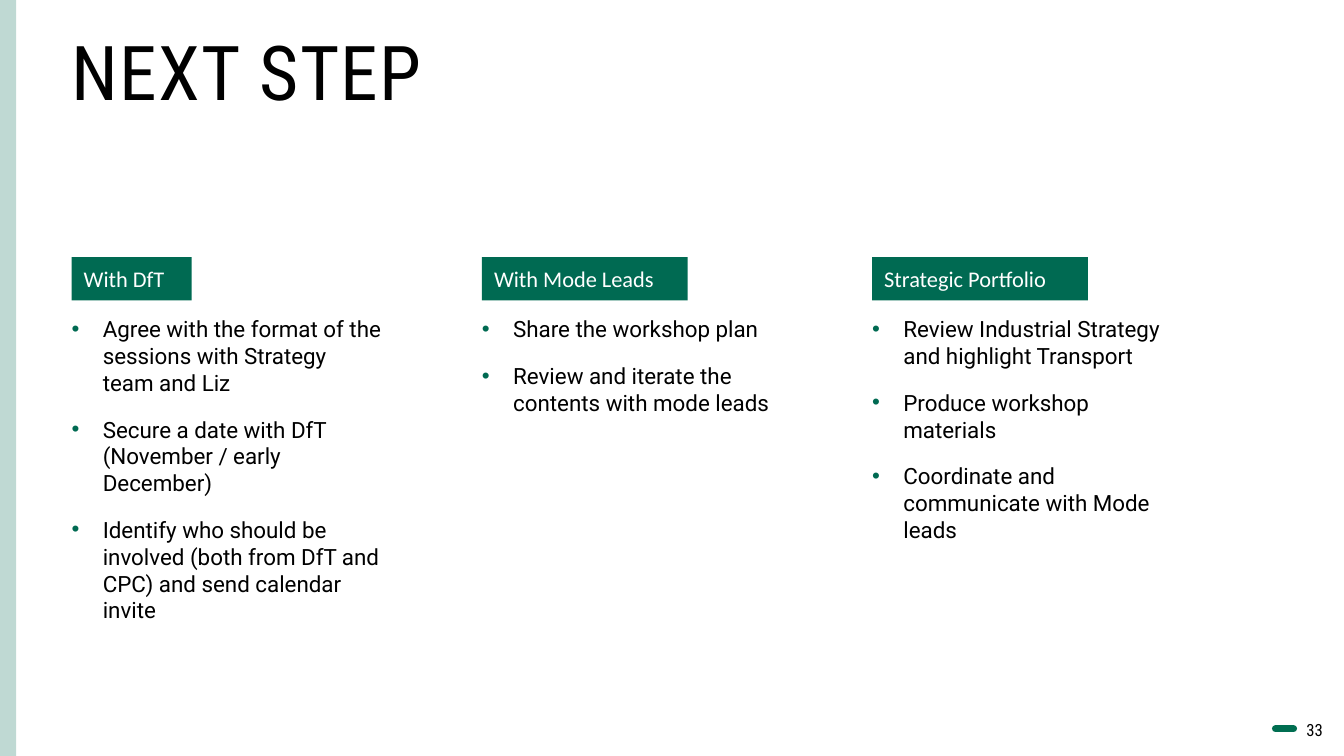
from lxml import etree
from pptx import Presentation
from pptx.dml.color import RGBColor
from pptx.enum import shapes, text
from pptx.oxml import ns
from pptx.util import Inches, Pt

GREEN = RGBColor(0x00, 0x6A, 0x52)
DASH_GREEN = RGBColor(0x00, 0x6E, 0x51)
BLACK = RGBColor(0x00, 0x00, 0x00)
WHITE = RGBColor(0xFF, 0xFF, 0xFF)

LABEL_TOP, LABEL_HEIGHT = 2.55, 0.43
LIST_TOP, LIST_WIDTH = 3.13, 3.08
INDENT = 0.31

COLUMNS = [
    (0.71, 1.19, 2.22, "With DfT", [
        "Agree with the format of the sessions with Strategy team and Liz",
        "Secure a date with DfT (November / early December)",
        "Identify who should be involved (both from DfT and CPC) and send calendar invite",
    ]),
    (4.78, 2.04, 2.22, "With Mode Leads", [
        "Share the workshop plan",
        "Review and iterate the contents with mode leads",
    ]),
    (8.65, 2.14, 2.87, "Strategic Portfolio", [
        "Review Industrial Strategy and highlight Transport",
        "Produce workshop materials",
        "Coordinate and communicate with Mode leads",
    ]),
]


def add_child(parent, tag, **attributes):
    return etree.SubElement(parent, ns.qn(tag), attributes)


def apply_format(target, values):
    for name, value in values.items():
        setattr(target, name, value)


def set_frame(frame, horizontal=0, vertical=0, **values):
    margins = {
        "margin_left": Inches(horizontal), "margin_right": Inches(horizontal),
        "margin_top": Inches(vertical), "margin_bottom": Inches(vertical),
    }
    apply_format(frame, {"word_wrap": True, **margins, **values})


def write(paragraph, content, font, size, color, **values):
    run = paragraph.add_run()
    run.text = content
    apply_format(run.font, {"name": font, "size": Pt(size)})
    run.font.color.rgb = color
    apply_format(paragraph, values)
    return run


def add_text_box(slide, left, top, width, height, **values):
    box = slide.shapes.add_textbox(*map(Inches, (left, top, width, height)))
    set_frame(box.text_frame, **values)
    return box.text_frame


def add_block(slide, left, top, width, height):
    block = slide.shapes.add_shape(
        shapes.MSO_SHAPE.RECTANGLE, *map(Inches, (left, top, width, height)))
    block.shadow.inherit = False
    block.fill.solid()
    block.fill.fore_color.rgb = GREEN
    block.line.fill.background()
    return block


def add_sidebar(slide):
    sidebar = add_block(slide, 0, 0, 0.16, 7.5)
    color = sidebar.fill._xPr.find(".//" + ns.qn("a:srgbClr"))
    add_child(color, "a:alpha", val="25000")


def add_page_number(slide, number):
    frame = add_text_box(slide, 12.44, 7.09, 0.78, 0.3,
                         horizontal=0.1, vertical=0.05)
    write(frame.paragraphs[0], number, "Roboto Condensed", 12, BLACK,
          alignment=text.PP_ALIGN.RIGHT)
    dash = slide.shapes.add_connector(
        shapes.MSO_CONNECTOR.STRAIGHT,
        *map(Inches, (12.83, 7.23, 12.65, 7.23)))
    dash.line.color.rgb = DASH_GREEN
    dash.line.width = Pt(5)
    dash.line._get_or_add_ln().set("cap", "rnd")
    add_child(dash._element.spPr, "a:effectLst")


def add_title(slide, title):
    frame = add_text_box(slide, 0.71, 0.39, 12.42, 0.77)
    run = write(frame.paragraphs[0], title, "Roboto Condensed", 54, BLACK,
                line_spacing=0.85)
    run.font._element.set("spc", "100")


def add_label(slide, left, width, caption):
    label = add_block(slide, left, LABEL_TOP, width, LABEL_HEIGHT)
    set_frame(label.text_frame, horizontal=0.12, vertical=0.08,
              vertical_anchor=text.MSO_ANCHOR.MIDDLE)
    write(label.text_frame.paragraphs[0], caption, "Calibri", 16, WHITE,
          alignment=text.PP_ALIGN.LEFT, space_after=Pt(8))


def add_bullet(paragraph):
    properties = paragraph._p.get_or_add_pPr()
    properties.set("marL", str(Inches(INDENT)))
    properties.set("indent", str(-Inches(INDENT)))
    color = add_child(properties, "a:buClr")
    add_child(color, "a:srgbClr", val=str(GREEN))
    add_child(properties, "a:buFont", typeface="Arial")
    add_child(properties, "a:buChar", char="•")


def add_list(slide, left, height, items):
    frame = add_text_box(slide, left, LIST_TOP, LIST_WIDTH, height)
    for index, item in enumerate(items):
        paragraph = frame.add_paragraph() if index else frame.paragraphs[0]
        add_bullet(paragraph)
        write(paragraph, item, "Roboto", 16, BLACK,
              space_before=Pt(6 if index else 0), space_after=Pt(8))


def main():
    presentation = Presentation()
    presentation.slide_width = Inches(13.33)
    presentation.slide_height = Inches(7.5)
    slide = presentation.slides.add_slide(presentation.slide_layouts[6])
    add_sidebar(slide)
    add_page_number(slide, "33")
    add_title(slide, "NEXT STEP")
    for left, label_width, list_height, caption, items in COLUMNS:
        add_label(slide, left, label_width, caption)
        add_list(slide, left, list_height, items)
    presentation.save("out.pptx")


if __name__ == "__main__":
    main()
